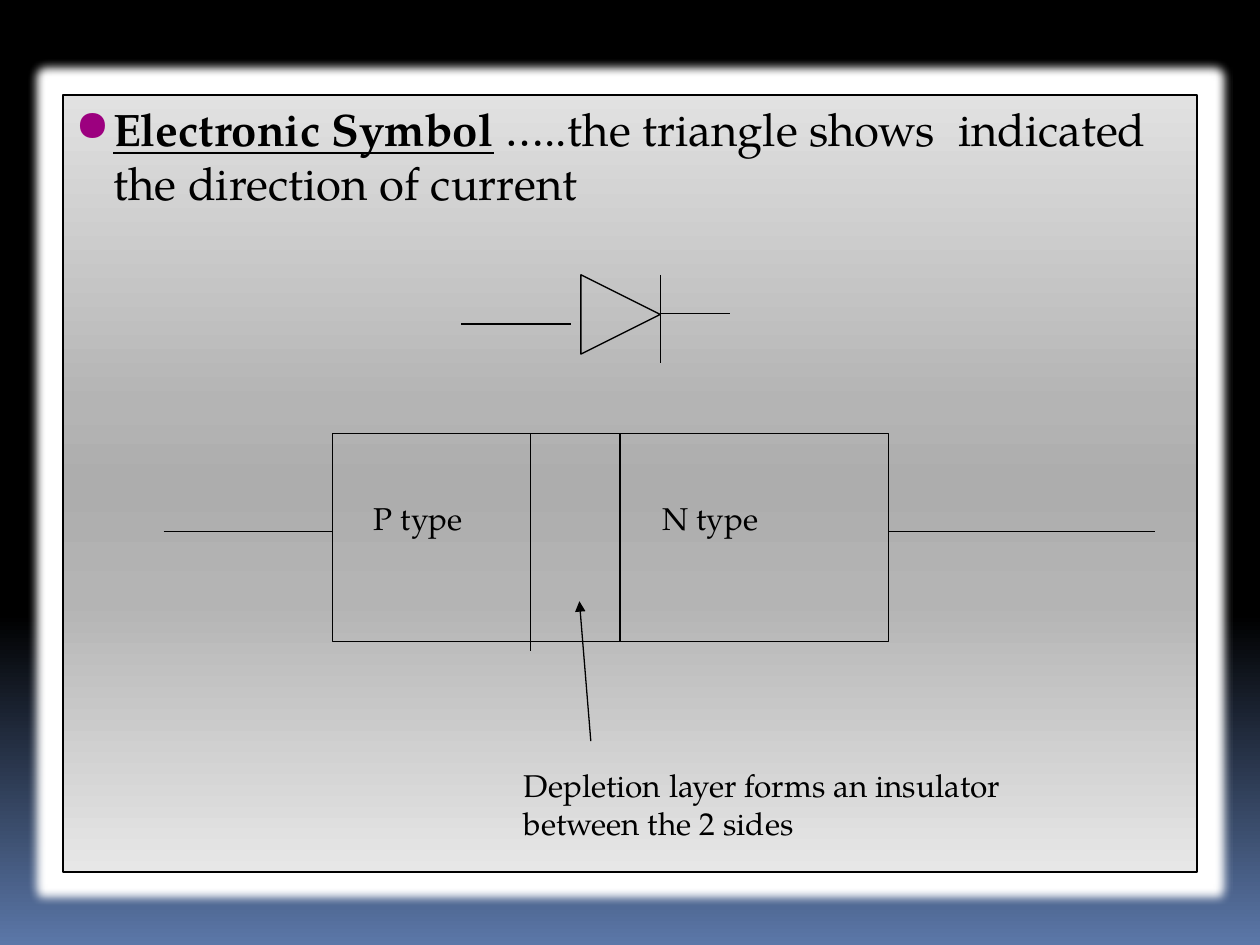
from lxml.etree import SubElement as Sub
from pptx import Presentation
from pptx.dml.color import RGBColor as Rgb
from pptx.enum.shapes import MSO_CONNECTOR as Link, MSO_SHAPE as Kind
from pptx.enum.text import MSO_ANCHOR as Anchor, PP_ALIGN as Align
from pptx.oxml.ns import qn
from pptx.util import Cm, Pt

BLACK = Rgb(0x00, 0x00, 0x00)
WHITE = Rgb(0xFF, 0xFF, 0xFF)
NAVY = Rgb(0x5B, 0x77, 0xA8)
PURPLE = Rgb(0x9C, 0x00, 0x7F)
PALE = Rgb(0xE1, 0xE1, 0xE1)
GREY = Rgb(0xB4, 0xB4, 0xB4)
DARK = Rgb(0xAD, 0xAD, 0xAD)
LIGHT = Rgb(0xE7, 0xE7, 0xE7)

BACK = [(0, BLACK), (65, BLACK), (100, NAVY)]
PANEL = [(0, PALE), (40, GREY), (50, DARK), (65, GREY), (100, LIGHT)]

BODY = {"name": "TeX Gyre Pagella", "size": Pt(26), "bold": False, "underline": False}
HEAD = BODY | {"bold": True, "underline": True}
NOTE = BODY | {"size": Pt(18)}


def add_tag(node, tag, **attrs):
    return Sub(node, qn(tag), attrs)


def shade(fill, node, stops):
    """Fill from top to bottom with the (percent, colour) stops."""
    fill.gradient()
    fill.gradient_angle = 270
    bands = node.find(".//" + qn("a:gsLst"))
    for old in list(bands):
        bands.remove(old)
    for spot, tint in stops:
        stop = add_tag(bands, "a:gs", pos=str(spot * 1000))
        add_tag(stop, "a:srgbClr", val=str(tint))


def add_run(para, text, style):
    run = para.add_run()
    run.text = text
    for key, value in style.items():
        setattr(run.font, key, value)
    run.font.color.rgb = BLACK


def add_shape(slide, kind, *box, width=0.75):
    shape = slide.shapes.add_shape(kind, *map(Cm, box))
    shape.shadow.inherit = False
    shape.fill.background()
    shape.line.color.rgb = BLACK
    shape.line.width = Pt(width)
    return shape


def add_line(slide, *ends, arrow=False):
    line = slide.shapes.add_connector(Link.STRAIGHT, *map(Cm, ends))
    line.line.color.rgb = BLACK
    line.line.width = Pt(0.75)
    props = line._element.spPr
    if arrow:
        add_tag(props.find(qn("a:ln")), "a:tailEnd", type="triangle")
    add_tag(props, "a:effectLst")


def add_label(slide, text, *box):
    frame = slide.shapes.add_textbox(*map(Cm, box)).text_frame
    frame.word_wrap = True
    para = frame.paragraphs[0]
    para.space_before = Pt(11.2)
    add_run(para, text, NOTE)


def add_bullet(para):
    props = para._p.get_or_add_pPr()
    props.set("marL", str(Cm(0.76)))
    props.set("indent", str(Cm(-0.76)))
    tint = add_tag(props, "a:buClr")
    add_tag(tint, "a:srgbClr", val=str(PURPLE))
    add_tag(props, "a:buSzPct", val="95000")
    add_tag(props, "a:buChar", char="●")


def add_panel(slide):
    panel = add_shape(slide, Kind.RECTANGLE, 1.27, 1.91, 22.86, 15.67, width=0.94)
    shade(panel.fill, panel._element, PANEL)
    effects = panel._element.spPr.find(qn("a:effectLst"))
    glow = add_tag(effects, "a:glow", rad=str(Pt(10)))
    add_tag(glow, "a:srgbClr", val=str(WHITE))
    frame = panel.text_frame
    frame.word_wrap = True
    frame.vertical_anchor = Anchor.TOP
    para = frame.paragraphs[0]
    para.alignment = Align.LEFT
    para.space_before = Pt(6.5)
    add_bullet(para)
    add_run(para, "Electronic Symbol", HEAD)
    add_run(para, " …..the triangle shows  indicated the direction of current", BODY)


def add_block(slide):
    """Draw the P and N halves with the layer between them."""
    left, top, right, low, mid = 6.71, 8.74, 17.91, 12.93, 10.72
    add_line(slide, 3.3, mid, left, mid)
    add_shape(slide, Kind.RECTANGLE, left, top, right - left, low - top)
    add_line(slide, right, mid, 23.29, mid)
    add_line(slide, 10.69, top, 10.69, 13.13)
    add_line(slide, 12.5, top, 12.5, low)
    add_line(slide, 11.91, 14.94, 11.68, 12.12, arrow=True)
    add_label(slide, "Depletion layer forms an insulator between the 2 sides",
              10.31, 15.32, 11.61, 1.78)
    add_label(slide, "P type", 7.29, 9.93, 2.41, 1.78)
    add_label(slide, "N type", 13.11, 9.93, 3.4, 1.02)


def add_diode(slide):
    left, top, side = 11.71, 5.54, 1.6
    tip = left + side
    add_line(slide, 9.3, 6.53, 11.51, 6.53)
    add_shape(slide, Kind.ISOSCELES_TRIANGLE, left, top, side, side).rotation = 90
    add_line(slide, tip, top, tip, 7.32)
    add_line(slide, tip, 6.32, 14.71, 6.32)


def main():
    deck = Presentation()
    deck.slide_width, deck.slide_height = Cm(25.4), Cm(19.05)
    slide = deck.slides.add_slide(deck.slide_layouts[6])
    shade(slide.background.fill, slide.element, BACK)
    add_panel(slide)
    add_block(slide)
    add_diode(slide)
    deck.save("out.pptx")


if __name__ == "__main__":
    main()
